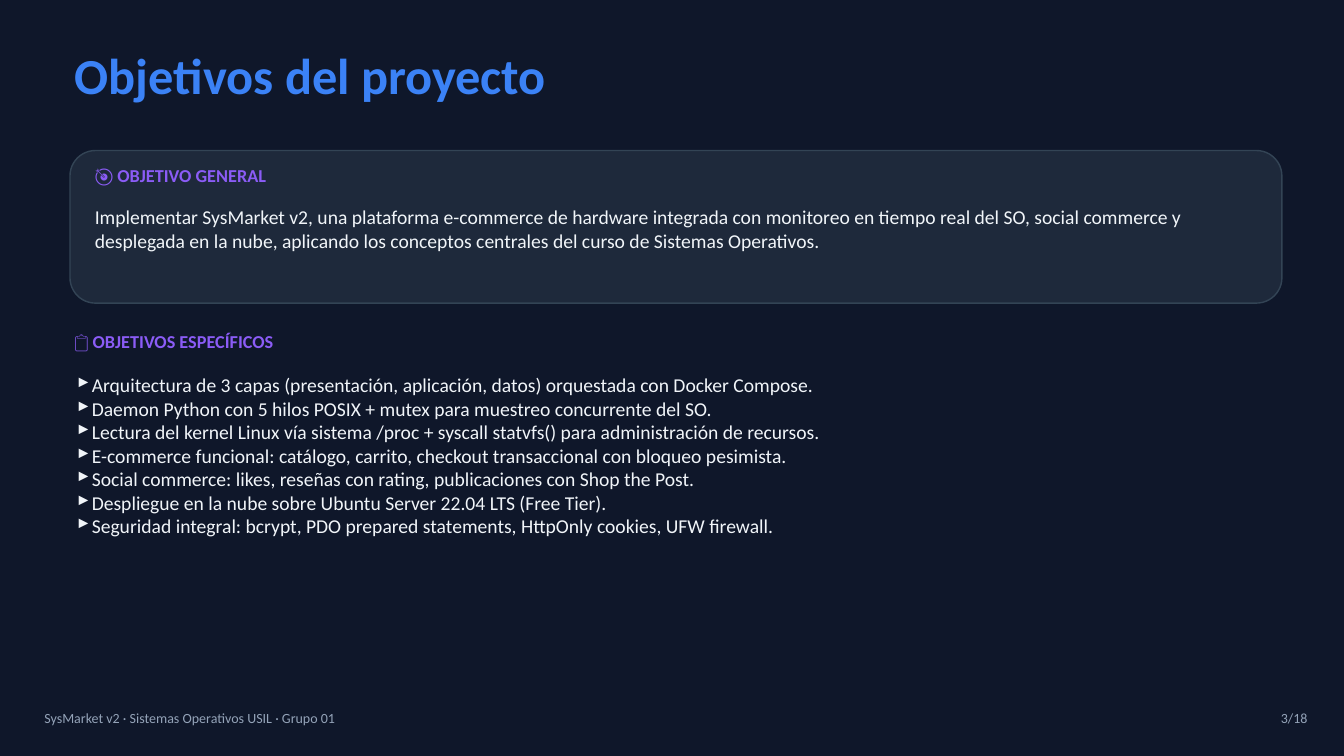
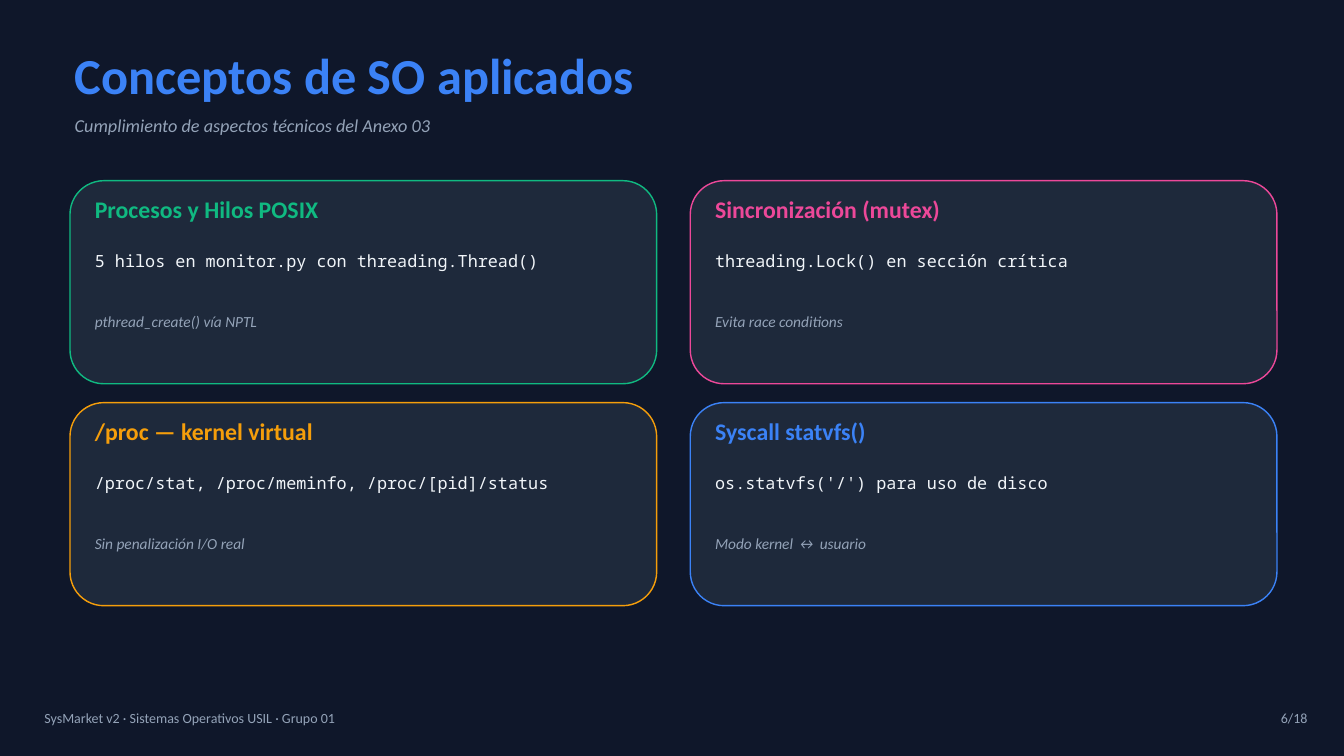
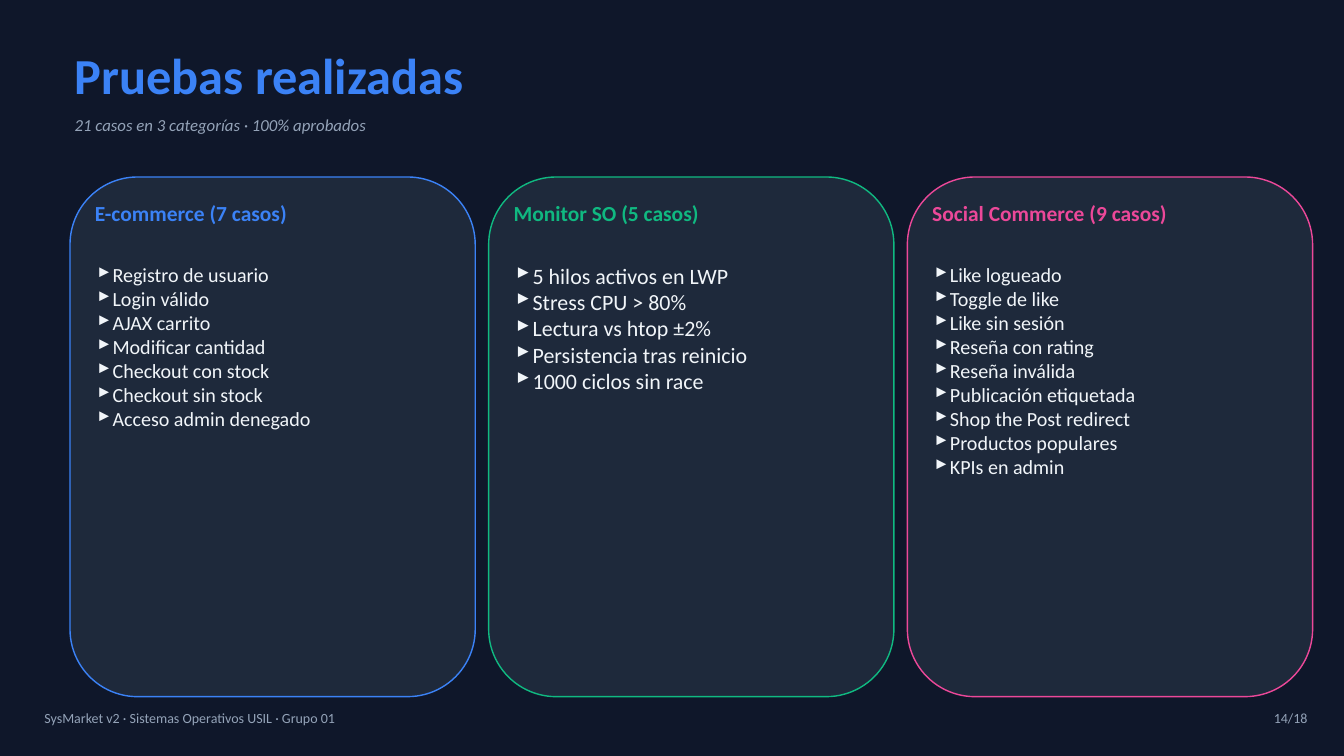
from lxml import etree
from pptx import Presentation
from pptx.dml.color import RGBColor
from pptx.enum import shapes, text
from pptx.oxml import ns
from pptx.util import Pt

HEX = {
    "back": "0F172A", "card": "1E293B", "edge": "334455",
    "text": "F1F5F9", "dim": "94A3B8", "blue": "3B82F6",
    "violet": "8B5CF6", "green": "10B981", "pink": "EC4899",
    "amber": "F59E0B",
}

# Text formats: each entry holds font attributes; colour is given apart
STYLE = {
    "title": {"size": 54, "bold": True},
    "sub": {"size": 19.5, "italic": True},
    "label": {"size": 19.5, "bold": True},
    "body": {"size": 21},
    "head": {"size": 25.5, "bold": True},
    "code": {"size": 18, "name": "Noto Sans Mono"},
    "note": {"size": 16.5, "italic": True},
    "case": {"size": 23, "bold": True},
    "foot": {"size": 15},
}
LEAD = 1.2          # line height per point of text size
HANG = 0.75         # bullet indent per point of text size
LEFT = 75           # left edge of the cards
PAD = 26.6          # from card edge to its text
EDGE = 80           # left edge of titles and labels
WIDE = 1289         # width of titles and labels
TOTAL = 18


def rgb(name):
    return RGBColor.from_string(HEX[name])


def bullet(par, size):
    """Give a paragraph a hanging triangle bullet."""
    props = par._p.get_or_add_pPr()
    gap = Pt(size * HANG)
    props.set("marL", str(gap))
    props.set("indent", str(-gap))
    mark = etree.SubElement(props, ns.qn("a:buChar"))
    mark.set("char", "▸")


def write(slide, box, lines, style, color="text", size=None,
          bullets=False, align=text.PP_ALIGN.LEFT):
    """Add a text box without margins, one paragraph per line."""
    frame = slide.shapes.add_textbox(*map(Pt, box)).text_frame
    frame.word_wrap = True
    for side in ("left", "right", "top", "bottom"):
        setattr(frame, f"margin_{side}", 0)
    form = {"name": "Calibri", **STYLE[style]}
    size = size or form["size"]
    form["size"] = Pt(size)
    for i, line in enumerate(lines):
        par = frame.add_paragraph() if i else frame.paragraphs[0]
        if bullets:
            bullet(par, size)
        par.alignment = align
        par.line_spacing = Pt(size * LEAD)
        run = par.add_run()
        run.text = line
        for key, value in form.items():
            setattr(run.font, key, value)
        run.font.color.rgb = rgb(color)


def card(slide, box, edge):
    """Add a rounded panel."""
    shape = slide.shapes.add_shape(
        shapes.MSO_SHAPE.ROUNDED_RECTANGLE, *map(Pt, box))
    shape.shadow.inherit = False
    shape.fill.solid()
    shape.fill.fore_color.rgb = rgb("card")
    shape.line.color.rgb = rgb(edge)
    shape.line.width = Pt(1.5)


def page(deck, number, title, sub=None, size=None):
    """Start a slide with background, title and footer."""
    slide = deck.slides.add_slide(deck.slide_layouts[6])
    fill = slide.background.fill
    fill.solid()
    fill.fore_color.rgb = rgb("back")
    write(slide, (EDGE, 47, WIDE, 70.5), [title], "title", "blue")
    if sub:
        write(slide, (EDGE, 122.6, WIDE, 44), [sub], "sub", "dim", size)
    write(slide, (47.5, 760.5, 857, 43),
          ["SysMarket v2 · Sistemas Operativos USIL · Grupo 01"], "foot", "dim")
    write(slide, (1301, 760.5, 100, 43), [f"{number}/{TOTAL}"], "foot", "dim",
          align=text.PP_ALIGN.RIGHT)
    return slide


def goals(deck):
    slide = page(deck, 3, "Objetivos del proyecto")
    # General goal
    card(slide, (LEFT, 161.3, 1298.5, 163.5), "edge")
    write(slide, (LEFT + PAD, 176.4, 1181, 44), ["🎯 OBJETIVO GENERAL"],
          "label", "violet")
    write(slide, (LEFT + PAD, 219.8, 1181, 103), [
        "Implementar SysMarket v2, una plataforma e-commerce de hardware "
        "integrada con monitoreo en tiempo real del SO, social commerce y "
        "desplegada en la nube, aplicando los conceptos centrales del curso "
        "de Sistemas Operativos."], "body")
    # Specific goals
    write(slide, (EDGE, 354.4, WIDE, 44), ["📋 OBJETIVOS ESPECÍFICOS"],
          "label", "violet")
    write(slide, (82.6, 399.8, 1282, 375), [
        "Arquitectura de 3 capas (presentación, aplicación, datos) "
        "orquestada con Docker Compose.",
        "Daemon Python con 5 hilos POSIX + mutex para muestreo concurrente "
        "del SO.",
        "Lectura del kernel Linux vía sistema /proc + syscall statvfs() para "
        "administración de recursos.",
        "E-commerce funcional: catálogo, carrito, checkout transaccional con "
        "bloqueo pesimista.",
        "Social commerce: likes, reseñas con rating, publicaciones con Shop "
        "the Post.",
        "Despliegue en la nube sobre Ubuntu Server 22.04 LTS (Free Tier).",
        "Seguridad integral: bcrypt, PDO prepared statements, HttpOnly "
        "cookies, UFW firewall.",
    ], "body", bullets=True)


def ideas(deck):
    slide = page(deck, 6, "Conceptos de SO aplicados",
                 "Cumplimiento de aspectos técnicos del Anexo 03")
    items = [
        ("green", "Procesos y Hilos POSIX",
         "5 hilos en monitor.py con threading.Thread()",
         "pthread_create() vía NPTL"),
        ("pink", "Sincronización (mutex)",
         "threading.Lock() en sección crítica", "Evita race conditions"),
        ("amber", "/proc — kernel virtual",
         "/proc/stat, /proc/meminfo, /proc/[pid]/status",
         "Sin penalización I/O real"),
        ("blue", "Syscall statvfs()",
         "os.statvfs('/') para uso de disco", "Modo kernel ↔ usuario"),
    ]
    # Two by two grid
    for i, (color, head, code, note) in enumerate(items):
        row, col = divmod(i, 2)
        x, y = LEFT + col * 664.6, 193.6 + row * 237.8
        card(slide, (x, y, 628.6, 217.6), color)
        rows = ((15.2, head, "head", color), (75.2, code, "code", "text"),
                (140.6, note, "note", "dim"))
        for drop, line, style, ink in rows:
            write(slide, (x + PAD, y + drop, 576, 50), [line], style, ink)


def tests(deck):
    slide = page(deck, 14, "Pruebas realizadas",
                 "21 casos en 3 categorías · 100% aprobados", 18)
    groups = [
        ("blue", "E-commerce (7 casos)", 21.5, [
            "Registro de usuario", "Login válido", "AJAX carrito",
            "Modificar cantidad", "Checkout con stock", "Checkout sin stock",
            "Acceso admin denegado"]),
        ("green", "Monitor SO (5 casos)", 23.5, [
            "5 hilos activos en LWP", "Stress CPU > 80%",
            "Lectura vs htop ±2%", "Persistencia tras reinicio",
            "1000 ciclos sin race"]),
        ("pink", "Social Commerce (9 casos)", 21.5, [
            "Like logueado", "Toggle de like", "Like sin sesión",
            "Reseña con rating", "Reseña inválida", "Publicación etiquetada",
            "Shop the Post redirect", "Productos populares",
            "KPIs en admin"]),
    ]
    # Three columns
    for i, (color, head, size, cases) in enumerate(groups):
        x = LEFT + i * 448.6
        card(slide, (x, 189.6, 434.2, 556.8), color)
        write(slide, (x + PAD, 214, 381, 31), [head], "case", color)
        write(slide, (x + 29.5, 281, 374.5, len(cases) * size * LEAD), cases,
              "body", size=size, bullets=True)


def main():
    deck = Presentation()
    deck.slide_width, deck.slide_height = Pt(1440), Pt(810)
    for build in (goals, ideas, tests):
        build(deck)
    deck.save("out.pptx")


if __name__ == "__main__":
    main()
